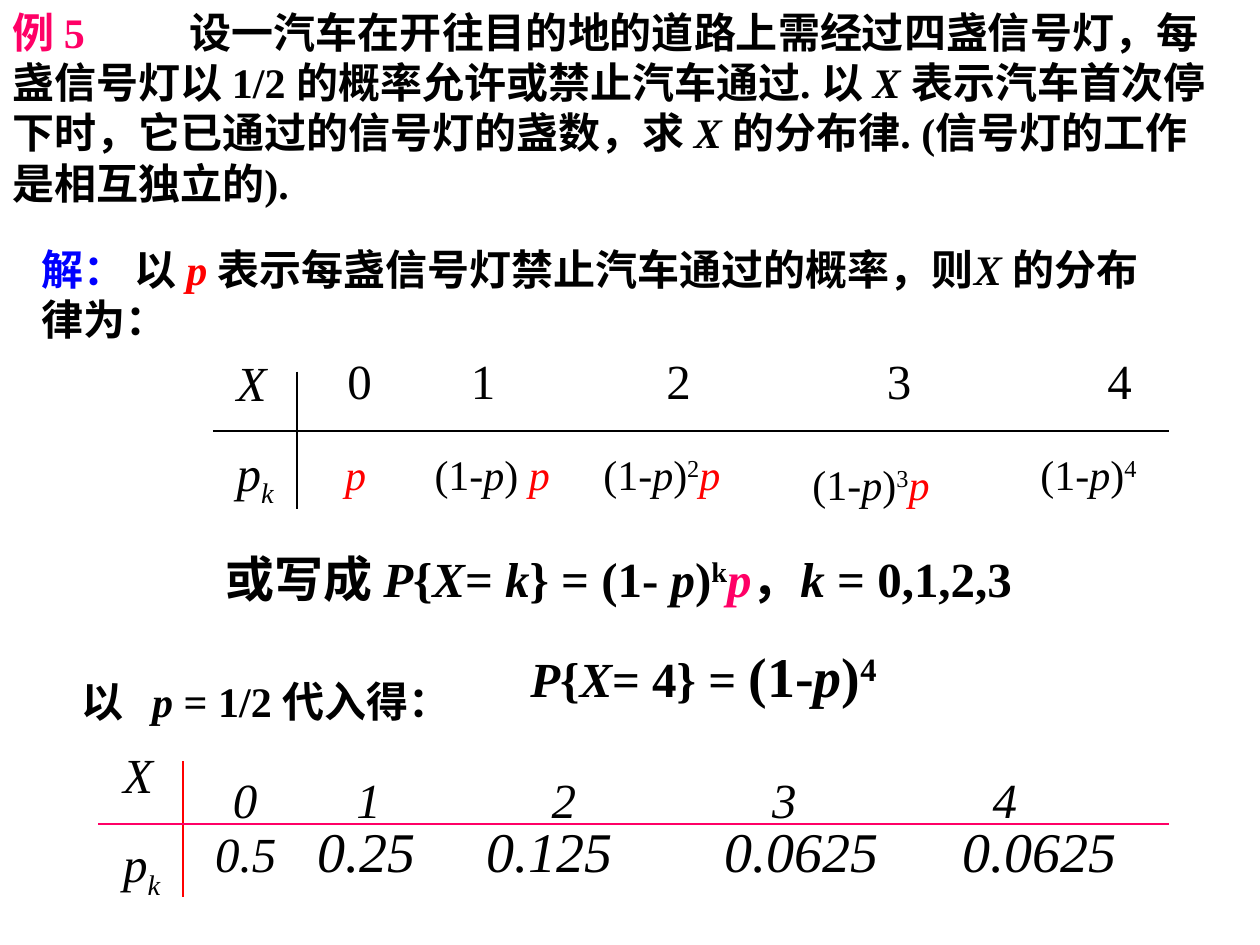
from dataclasses import dataclass
from typing import Optional

from lxml.etree import SubElement
from pptx import Presentation
from pptx.dml.color import RGBColor
from pptx.enum.shapes import MSO_CONNECTOR
from pptx.enum.text import MSO_AUTO_SIZE
from pptx.oxml.ns import qn
from pptx.util import Inches, Pt

COLORS = {"black": "000000", "blue": "0000FF", "red": "FF0000", "pink": "FF0066"}
FONT = "Times New Roman"
VALUE_TABS = (0.98, 2.53, 4.28, 6.03)
PROBABILITY_TABS = (0.81, 2.15, 4.04, 5.93)


@dataclass
class Span:
    text: str
    italic: bool = False
    color: str = "black"
    baseline: int = 0
    size: Optional[float] = None


@dataclass
class Para:
    spans: list[Span]
    tabs: tuple[float, ...] = ()
    space_before: float = 0


@dataclass
class TextBox:
    left: float
    top: float
    width: float
    height: float
    paras: list[Para]
    size: float = 24
    bold: bool = False
    wrap: bool = True


@dataclass
class Rule:
    start: tuple[float, float]
    end: tuple[float, float]
    color: str = "black"


def it(text: str, color: str = "black", size: Optional[float] = None) -> Span:
    """Italic span."""
    return Span(text, True, color, size=size)


def sup(text: str, size: Optional[float] = None) -> Span:
    """Superscript span."""
    return Span(text, baseline=30, size=size)


def add_tab_stops(paragraph, positions: tuple[float, ...]) -> None:
    if not positions:
        return
    tab_list = SubElement(paragraph._p.get_or_add_pPr(), qn("a:tabLst"))
    for position in positions:
        SubElement(tab_list, qn("a:tab"), pos=str(Inches(position)), algn="l")


def add_text(page, box: TextBox) -> None:
    shape = page.shapes.add_textbox(
        Inches(box.left), Inches(box.top), Inches(box.width), Inches(box.height))
    frame = shape.text_frame
    frame.word_wrap = box.wrap
    frame.auto_size = MSO_AUTO_SIZE.SHAPE_TO_FIT_TEXT
    for index, para in enumerate(box.paras):
        paragraph = frame.add_paragraph() if index else frame.paragraphs[0]
        add_tab_stops(paragraph, para.tabs)
        if para.space_before:
            paragraph.space_before = Pt(para.space_before)
        for span in para.spans:
            run = paragraph.add_run()
            run.text = span.text
            formats = {"name": FONT, "size": Pt(span.size or box.size),
                       "bold": box.bold, "italic": span.italic}
            for name, value in formats.items():
                setattr(run.font, name, value)
            run.font.color.rgb = RGBColor.from_string(COLORS[span.color])
            if span.baseline:
                run._r.get_or_add_rPr().set("baseline", str(span.baseline * 1000))


def add_rule(page, rule: Rule) -> None:
    ends = [Inches(value) for value in rule.start + rule.end]
    line = page.shapes.add_connector(MSO_CONNECTOR.STRAIGHT, *ends)
    line.line.color.rgb = RGBColor.from_string(COLORS[rule.color])
    line.line.width = Pt(1)
    SubElement(line._element.spPr, qn("a:effectLst"))


def row_labels(left: float, top: float) -> TextBox:
    """Row heads X and p with subscript k of a distribution table."""
    return TextBox(left, top, 0.67, 1.34, [
        Para([it("X")]),
        Para([it("p"), Span("k", True, baseline=-25)], space_before=17.5),
    ], size=28)


def value_row(left: float, top: float, height: float, italic: bool) -> TextBox:
    """Values of X, set on tab stops."""
    values = "\t".join(str(value) for value in range(5))
    return TextBox(left, top, 6.83, height,
                   [Para([Span(values, italic)], VALUE_TABS)], size=28)


def formula(left: float, width: float, spans: list[Span], top: float = 3.51) -> TextBox:
    return TextBox(left, top, width, 0.5, [Para(spans)], wrap=False)


def power(exponent: str) -> list[Span]:
    return [Span("(1-"), it("p"), Span(")"), sup(exponent)]


PROBLEM = TextBox(0, 0, 9.67, 1.7, [Para([
    Span("例 5\t", color="pink"),
    Span("设一汽车在开往目的地的道路上需经过四盏信号灯，每盏信号灯以 1/2 的概率允许或禁止汽车通过. 以 "),
    it("X "), Span("表示汽车首次停下时，它已通过的信号灯的盏数，求 "),
    it("X "), Span("的分布律. (信号灯的工作是相互独立的)."),
], (1.41,))], bold=True)

SOLUTION = TextBox(0.23, 1.88, 9.08, 0.9, [Para([
    Span("解： ", color="blue"), Span("以 "), it("p ", "red"),
    Span("表示每盏信号灯禁止汽车通过的概率，则"), it("X "), Span("的分布律为："),
])], bold=True)

GENERAL_LAW = TextBox(1.69, 4.3, 7.75, 1.38, [
    Para([
        Span("或写成 "), it("P"), Span("{"), it("X"), Span("= "), it("k"),
        Span("} = (1- "), it("p"), Span(")"), sup("k"), it("p", "pink"),
        Span("，"), it("k"), Span(" = 0,1,2,3"),
    ]),
    Para([
        Span("\t"), it("P"), Span("{"), it("X"), Span("= 4} = "),
        Span("(1-", size=32), it("p", size=32), Span(")", size=32), sup("4", 32),
    ], (2.42,), 20),
], size=28, bold=True)

SUBSTITUTION = TextBox(0.55, 5.31, 4.08, 0.5, [
    Para([Span("以\t"), it("p "), Span("= 1/2 代入得：")], (0.56,)),
], bold=True)

PROBABILITIES = TextBox(1.61, 6.43, 7.5, 0.64, [
    Para([it("0.5"), it("\t0.25\t0.125\t0.0625\t0.0625", size=32)], PROBABILITY_TABS),
], size=28)

TEXTS = [
    PROBLEM, SOLUTION,
    row_labels(1.78, 2.75), value_row(2.66, 2.73, 1.75, False),
    formula(2.64, 0.36, [it("p", "red")]),
    formula(3.35, 1.25, [Span("(1-"), it("p"), Span(") "), it("p", "red")]),
    formula(4.69, 1.2, power("2") + [it("p", "red")]),
    formula(6.35, 1.2, power("3") + [it("p", "red")], 3.59),
    formula(8.16, 1.04, power("4")),
    GENERAL_LAW, SUBSTITUTION,
    row_labels(0.88, 5.86), value_row(1.75, 6.06, 1.4, True), PROBABILITIES,
]

RULES = [
    Rule((1.69, 3.42), (9.28, 3.42)),
    Rule((2.36, 2.95), (2.36, 4.04)),
    Rule((1.45, 6.04), (1.45, 7.12), "red"),
    Rule((0.78, 6.54), (9.28, 6.54), "pink"),
]


def main() -> None:
    deck = Presentation()
    deck.slide_width, deck.slide_height = Inches(10), Inches(7.5)
    page = deck.slides.add_slide(deck.slide_layouts[6])
    for box in TEXTS:
        add_text(page, box)
    for rule in RULES:
        add_rule(page, rule)
    deck.save("out.pptx")


if __name__ == "__main__":
    main()
